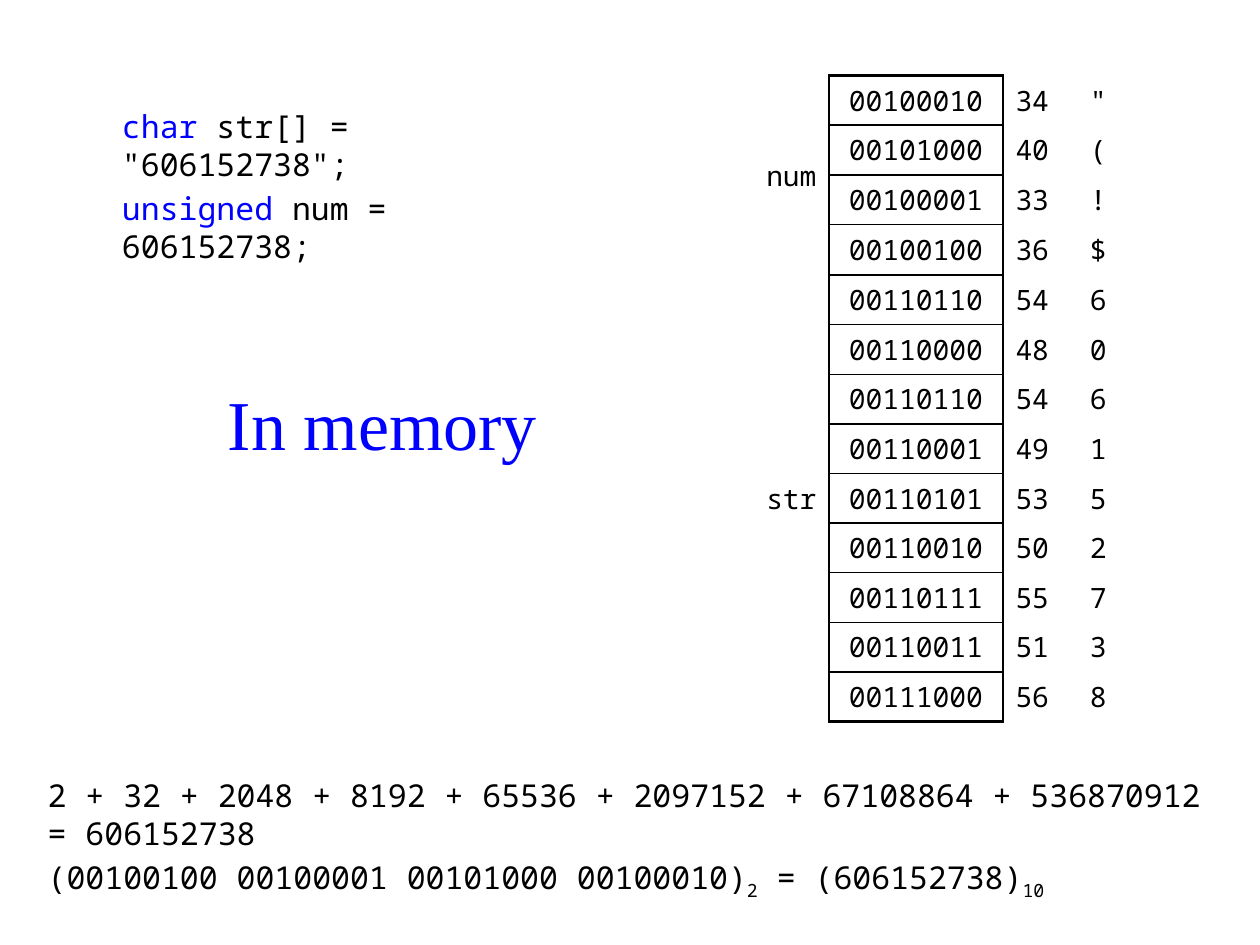
"""Build a slide showing how a string and a number are laid out in memory."""
from typing import NamedTuple

from lxml.etree import SubElement
from pptx import Presentation
from pptx.dml.color import RGBColor
from pptx.enum.text import MSO_ANCHOR, PP_ALIGN
from pptx.oxml.ns import qn
from pptx.util import Inches, Pt

COLORS = {"text": "000000", "accent": "0000FF"}
MONO, SERIF = "Noto Sans Mono", "Times New Roman"
SIDES = ("L", "R", "T", "B")
COL_WIDTHS = (0.79, 1.38, 0.59, 0.39)
ROW_HEIGHT = 5.12 / 13


class Variable(NamedTuple):
    name: str
    chars: str


class Span(NamedTuple):
    text: str
    color: str = "text"
    baseline: int = 0


class TextBlock(NamedTuple):
    left: float
    top: float
    width: float
    height: float
    lines: list[list[Span]]
    font: str = MONO
    size: int = 18
    space: float = 3.6
    align: PP_ALIGN = PP_ALIGN.LEFT
    anchor: MSO_ANCHOR = MSO_ANCHOR.TOP


VARIABLES = [Variable("num", '"(!$'), Variable("str", "606152738")]
BLOCKS = [
    TextBlock(1.46, 2.96, 3.15, 0.79, [[Span("In memory", "accent")]],
              SERIF, 40, 0, PP_ALIGN.CENTER, MSO_ANCHOR.MIDDLE),
    TextBlock(0.28, 6.11, 9.45, 1.18, [
        [Span("2 + 32 + 2048 + 8192 + 65536 + 2097152 + 67108864 + 536870912 = 606152738")],
        [Span("(00100100 00100001 00101000 00100010)"), Span("2", baseline=-25000),
         Span(" = (606152738)"), Span("10", baseline=-25000)],
    ]),
    TextBlock(0.87, 0.8, 3.94, 0.79, [
        [Span("char ", "accent"), Span('str[] = "606152738";')],
        [Span("unsigned ", "accent"), Span("num = 606152738;")],
    ]),
]


def rgb(name: str) -> RGBColor:
    return RGBColor.from_string(COLORS[name])


def add_text(s, block: TextBlock) -> None:
    box = (block.left, block.top, block.width, block.height)
    tf = s.shapes.add_textbox(*map(Inches, box)).text_frame
    tf.word_wrap = True
    tf.vertical_anchor = block.anchor
    for i, line in enumerate(block.lines):
        p = tf.add_paragraph() if i else tf.paragraphs[0]
        p.alignment = block.align
        p.space_before = Pt(block.space)
        p.font.name, p.font.size = block.font, Pt(block.size)
        for span in line:
            r = p.add_run()
            r.text = span.text
            r.font.color.rgb = rgb(span.color)
            if span.baseline:
                r._r.get_or_add_rPr().set("baseline", str(span.baseline))


def set_borders(cell, widths: dict[str, float]) -> None:
    tc_pr = cell._tc.get_or_add_tcPr()
    for i, side in enumerate(SIDES):
        ln = SubElement(tc_pr, qn(f"a:ln{side}"))
        if side in widths:
            ln.set("w", str(Pt(widths[side])))
            fill = SubElement(ln, qn("a:solidFill"))
            SubElement(fill, qn("a:srgbClr")).set("val", COLORS["text"])
        else:
            SubElement(ln, qn("a:noFill"))
        tc_pr.insert(i, ln)


def fill_cell(cell, text: str, align: PP_ALIGN, space: float, margin: float) -> None:
    cell.vertical_anchor = MSO_ANCHOR.MIDDLE
    cell.margin_top = cell.margin_bottom = Inches(margin)
    p = cell.text_frame.paragraphs[0]
    p.text = text
    p.alignment = align
    p.space_before = Pt(space)
    p.font.name, p.font.size = MONO, Pt(16)
    p.font.color.rgb = rgb("text")


def add_memory_table(s, variables: list[Variable]) -> None:
    chars = "".join(v.chars for v in variables)
    count = len(chars)
    table = s.shapes.add_table(count, len(COL_WIDTHS), Inches(5.79), Inches(0.6),
                               Inches(sum(COL_WIDTHS)), Inches(ROW_HEIGHT * count)).table
    table.first_row = table.horz_banding = False
    for col, width in zip(table.columns, COL_WIDTHS):
        col.width = Inches(width)
    for i, char in enumerate(chars):
        table.rows[i].height = Inches(ROW_HEIGHT)
        borders = ({"R": 1.5},
                   {"L": 1.5, "R": 1.5, "T": 1 if i else 1.5, "B": 1 if i < count - 1 else 1.5},
                   {"L": 1.5}, {})
        texts = ("", format(ord(char), "08b"), str(ord(char)), char)
        for j, (text, widths) in enumerate(zip(texts, borders)):
            cell = table.cell(i, j)
            cell.fill.background()
            set_borders(cell, widths)
            fill_cell(cell, text, PP_ALIGN.CENTER if j == 1 else PP_ALIGN.LEFT, 3.2, 0.04)
    start = 0
    for v in variables:
        label = table.cell(start, 0)
        start += len(v.chars)
        label.merge(table.cell(start - 1, 0))
        fill_cell(label, v.name, PP_ALIGN.RIGHT, 8, 0.05)


def main() -> None:
    prs = Presentation()
    prs.slide_width, prs.slide_height = Inches(10), Inches(7.5)
    s = prs.slides.add_slide(prs.slide_layouts[6])
    add_memory_table(s, VARIABLES)
    for block in BLOCKS:
        add_text(s, block)
    prs.save("out.pptx")


if __name__ == "__main__":
    main()
